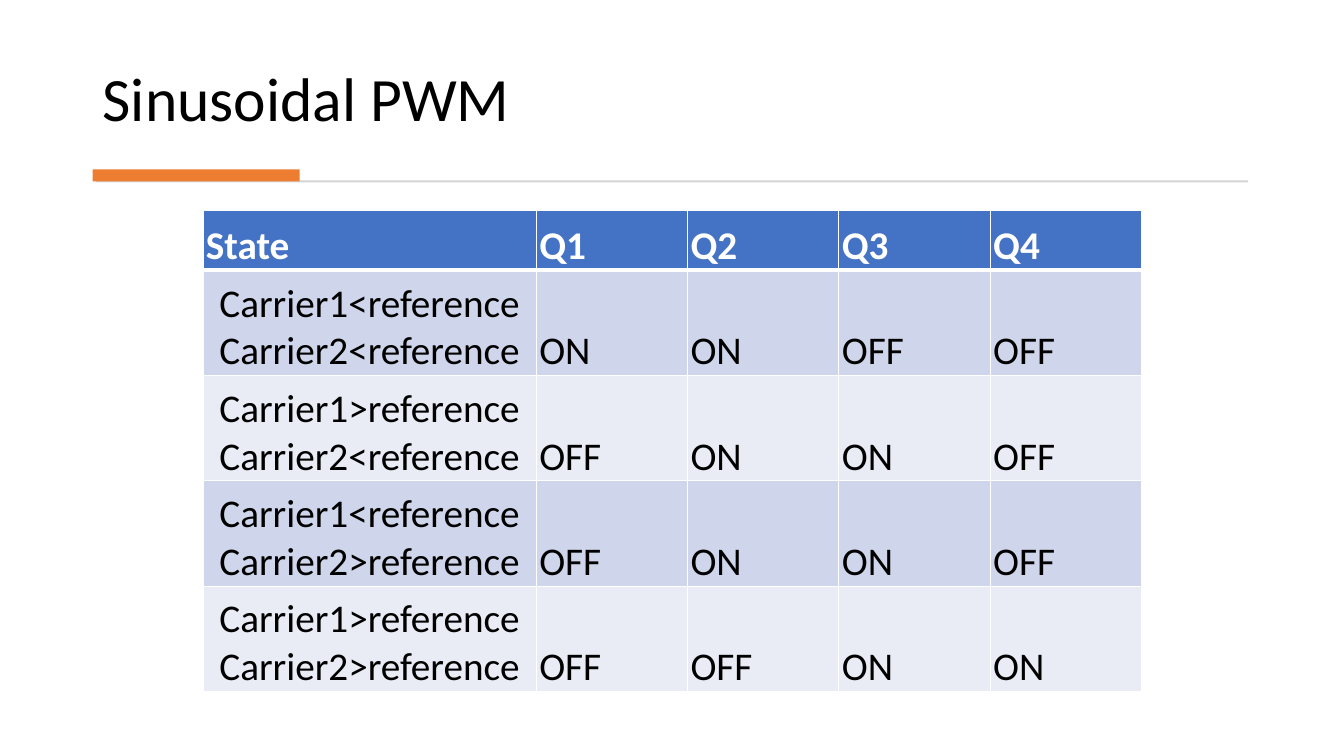
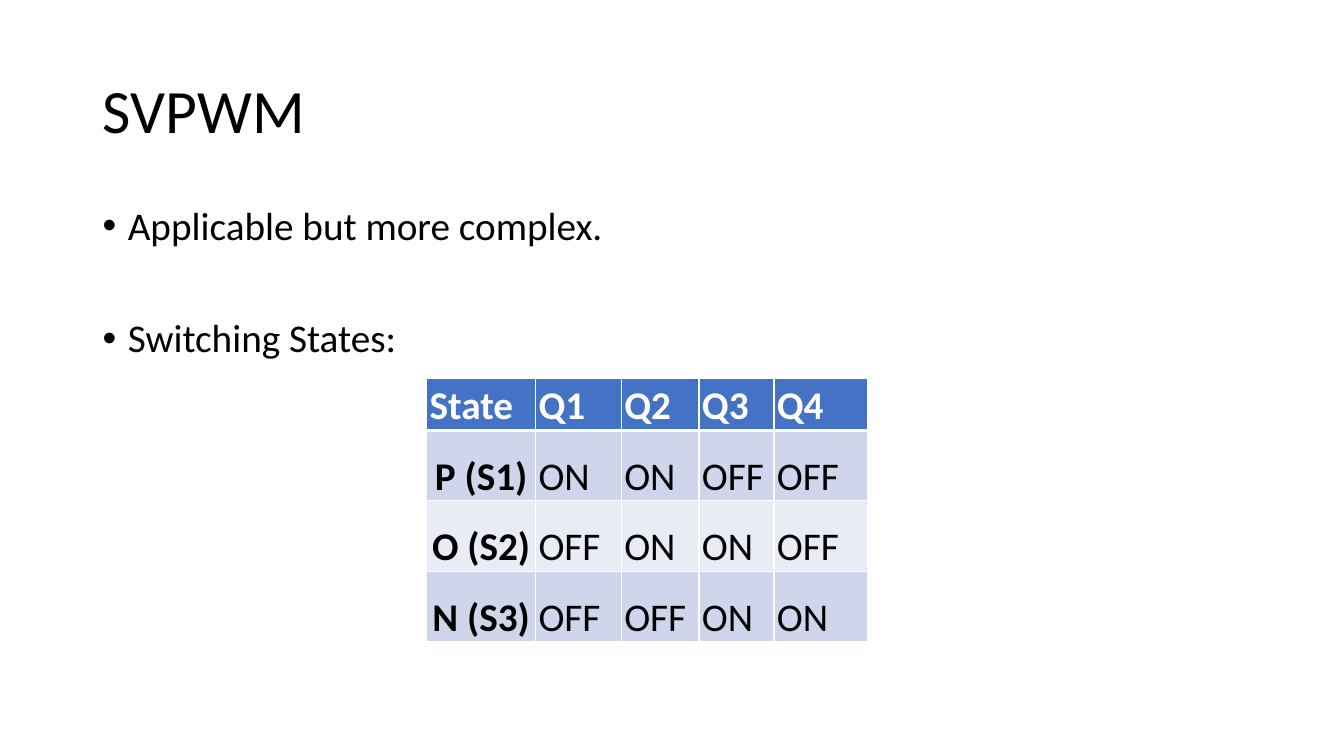
from dataclasses import dataclass

import pptx
import pptx.dml.color
import pptx.enum.shapes
import pptx.enum.text
import pptx.oxml
import pptx.oxml.ns
import pptx.util

RGBColor = pptx.dml.color.RGBColor
ANCHOR = pptx.enum.text.MSO_ANCHOR
ALIGN = pptx.enum.text.PP_ALIGN

SLIDE_W = pptx.util.Inches(13.333)
SLIDE_H = pptx.util.Inches(7.5)
FONT = "Calibri"
BLACK = RGBColor(0x00, 0x00, 0x00)
WHITE = RGBColor(0xFF, 0xFF, 0xFF)
BLUE = RGBColor(0x44, 0x72, 0xC4)
ORANGE = RGBColor(0xED, 0x7D, 0x31)
GREY = RGBColor(0xD5, 0xD5, 0xD5)
BANDS = (RGBColor(0xCF, 0xD5, 0xEA), RGBColor(0xE9, 0xEB, 0xF5))

TITLE_FORMAT = {"name": FONT, "size": pptx.util.Pt(44), "bold": False}
BODY_FORMAT = {"name": FONT, "size": pptx.util.Pt(28), "bold": False}
CELL_MARGINS = {
    "margin_left": pptx.util.Inches(0.03),
    "margin_top": pptx.util.Inches(0.03),
    "margin_right": pptx.util.Inches(0.03),
    "margin_bottom": 0,
}
INDENT = pptx.util.Inches(0.25)
HEADER = ("State", "Q1", "Q2", "Q3", "Q4")
LEFT, WIDTH = 6.9, 86.25


@dataclass(frozen=True)
class Box:
    """A rectangle in percent of the slide's width and height."""
    left: float
    top: float
    width: float
    height: float

    def emu(self) -> tuple:
        return across(self.left), down(self.top), across(self.width), down(self.height)


@dataclass(frozen=True)
class StateTable:
    """A switching table, measured in percent of the slide."""
    left: float
    top: float
    columns: tuple
    header_height: float
    row_height: float
    rows: tuple
    bold_states: bool


@dataclass(frozen=True)
class Bullet:
    text: str
    space_before: int


RULE = (
    (Box(7.13, 23.87, 85.75, 0.27), GREY),
    (Box(LEFT, 22.4, 15.4, 1.6), ORANGE),
)

SINUSOIDAL = StateTable(
    15.1, 27.87, (24.8,) + (11.26,) * 4, 7.88, 13.93,
    (
        ("Carrier1<reference Carrier2<reference", "ON", "ON", "OFF", "OFF"),
        ("Carrier1>reference Carrier2<reference", "OFF", "ON", "ON", "OFF"),
        ("Carrier1<reference Carrier2>reference", "OFF", "ON", "ON", "OFF"),
        ("Carrier1>reference Carrier2>reference", "OFF", "OFF", "ON", "ON"),
    ),
    bold_states=False,
)

SPACE_VECTOR = StateTable(
    31.75, 50, (8.1, 6.38, 5.78, 5.58, 7), 6.93, 9.33,
    (
        ("P (S1)", "ON", "ON", "OFF", "OFF"),
        ("O (S2)", "OFF", "ON", "ON", "OFF"),
        ("N (S3)", "OFF", "OFF", "ON", "ON"),
    ),
    bold_states=True,
)

BULLETS = (Bullet("Applicable but more complex.", 10), Bullet("Switching States:", 50))


def across(percent: float) -> int:
    return round(SLIDE_W * percent / 100)


def down(percent: float) -> int:
    return round(SLIDE_H * percent / 100)


def write(p, text: str, style: dict, color: RGBColor) -> None:
    r = p.add_run()
    r.text = text
    for name, value in style.items():
        setattr(r.font, name, value)
    r.font.color.rgb = color


def add_text_frame(s, box: Box, anchor):
    tf = s.shapes.add_textbox(*box.emu()).text_frame
    tf.word_wrap = True
    tf.vertical_anchor = anchor
    return tf


def add_title(s, text: str, box: Box, anchor) -> None:
    p = add_text_frame(s, box, anchor).paragraphs[0]
    p.line_spacing = 0.9
    write(p, text, TITLE_FORMAT, BLACK)


def add_rule(s) -> None:
    """Draw the grey line under the title with its orange accent."""
    for box, color in RULE:
        sp = s.shapes.add_shape(pptx.enum.shapes.MSO_SHAPE.RECTANGLE, *box.emu())
        sp.shadow.inherit = False
        sp.fill.solid()
        sp.fill.fore_color.rgb = color
        sp.line.fill.background()


def add_bullets(s, bullets: tuple, box: Box) -> None:
    tf = add_text_frame(s, box, ANCHOR.TOP)
    for i, bullet in enumerate(bullets):
        p = tf.add_paragraph() if i else tf.paragraphs[0]
        p.line_spacing = 0.9
        p.space_before = pptx.util.Pt(bullet.space_before)
        props = p._p.get_or_add_pPr()
        props.set("marL", str(INDENT))
        props.set("indent", str(-INDENT))
        props.append(pptx.oxml.parse_xml(
            f'<a:buFont {pptx.oxml.ns.nsdecls("a")} typeface="Arial"/>'))
        props.append(pptx.oxml.parse_xml(
            f'<a:buChar {pptx.oxml.ns.nsdecls("a")} char="•"/>'))
        write(p, bullet.text, BODY_FORMAT, BLACK)


def set_borders(cell, top: int, bottom: int) -> None:
    """Give a cell white borders; top and bottom are widths in points."""
    props = cell._tc.get_or_add_tcPr()
    widths = {"lnL": 1, "lnR": 1, "lnT": top, "lnB": bottom}
    for i, (tag, width) in enumerate(widths.items()):
        props.insert(i, pptx.oxml.parse_xml(
            f'<a:{tag} {pptx.oxml.ns.nsdecls("a")} w="{pptx.util.Pt(width)}">'
            f'<a:solidFill><a:srgbClr val="{WHITE}"/></a:solidFill></a:{tag}>'))


def add_state_table(s, spec: StateTable) -> None:
    rows = (HEADER,) + spec.rows
    heights = (spec.header_height,) + (spec.row_height,) * len(spec.rows)
    box = Box(spec.left, spec.top, sum(spec.columns), sum(heights))
    table = s.shapes.add_table(len(rows), len(HEADER), *box.emu()).table
    table.first_row = table.horz_banding = False
    for column, width in zip(table.columns, spec.columns):
        column.width = across(width)
    for i, (texts, height) in enumerate(zip(rows, heights)):
        table.rows[i].height = down(height)
        is_header = i == 0
        for j, text in enumerate(texts):
            is_state = j == 0 and not is_header
            cell = table.cell(i, j)
            for name, value in CELL_MARGINS.items():
                setattr(cell, name, value)
            cell.vertical_anchor = ANCHOR.BOTTOM
            cell.fill.solid()
            cell.fill.fore_color.rgb = BLUE if is_header else BANDS[(i - 1) % 2]
            set_borders(cell, 3 if i == 1 else 1, 3 if is_header else 1)
            p = cell.text_frame.paragraphs[0]
            p.alignment = ALIGN.CENTER if is_state else ALIGN.LEFT
            bold = is_header or (is_state and spec.bold_states)
            write(p, text, BODY_FORMAT | {"bold": bold}, WHITE if is_header else BLACK)


def main() -> None:
    prs = pptx.Presentation()
    prs.slide_width, prs.slide_height = SLIDE_W, SLIDE_H
    blank = prs.slide_layouts[6]

    s = prs.slides.add_slide(blank)
    add_title(s, "Sinusoidal PWM", Box(LEFT, 3.7, WIDTH, 14.8), ANCHOR.BOTTOM)
    add_rule(s)
    add_state_table(s, SINUSOIDAL)

    s = prs.slides.add_slide(blank)
    add_title(s, "SVPWM", Box(LEFT, 5.33, WIDTH, 19.33), ANCHOR.MIDDLE)
    add_bullets(s, BULLETS, Box(LEFT, 26.67, WIDTH, 63.47))
    add_state_table(s, SPACE_VECTOR)

    prs.save("out.pptx")


if __name__ == "__main__":
    main()
